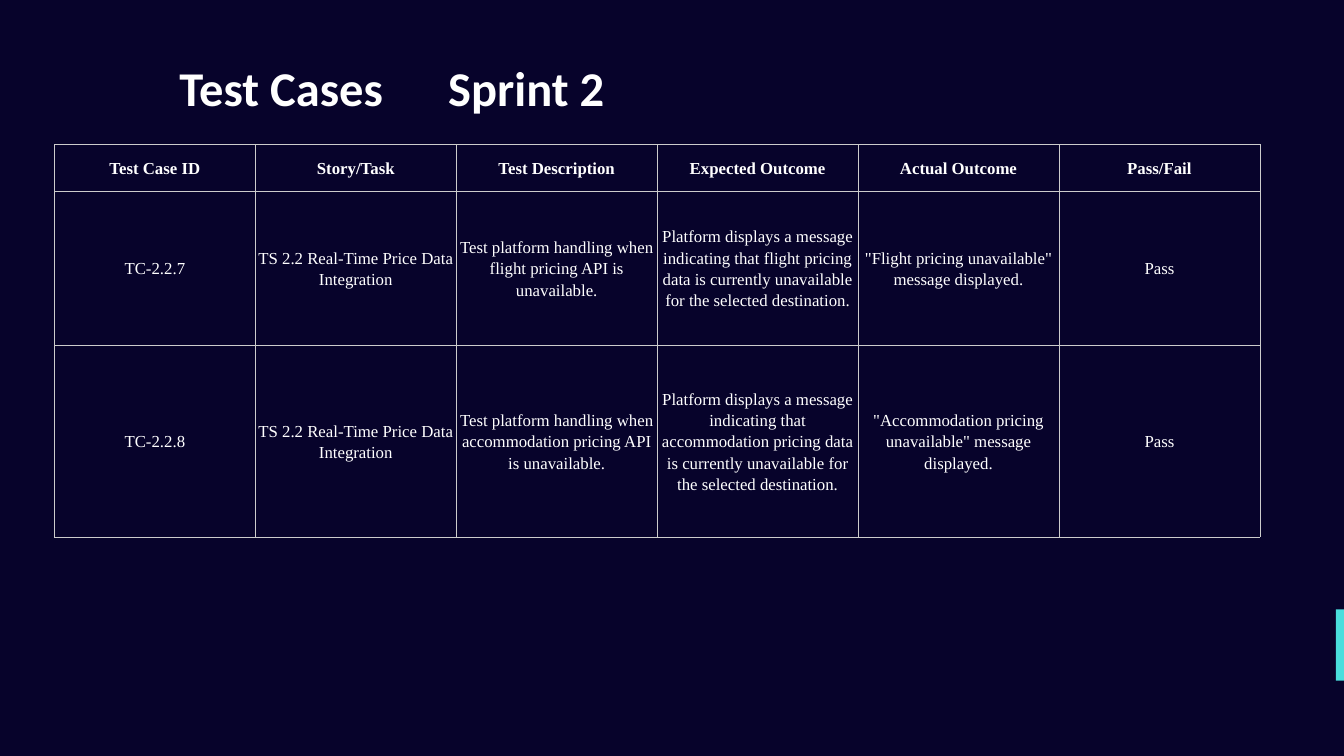
from lxml import etree
from pptx import Presentation
from pptx import util as u
from pptx.dml.color import RGBColor
from pptx.enum import shapes, text
from pptx.oxml import ns

COLORS = {"background": "07032B", "accent": "4ADEDD", "text": "FFFFFF", "border": "CCCCCC"}
STORY = "TS 2.2 Real-Time Price Data Integration"
HEADERS = ["Test Case ID", "Story/Task", "Test Description",
           "Expected Outcome", "Actual Outcome", "Pass/Fail"]
SUBJECTS = [("TC-2.2.7", "flight"), ("TC-2.2.8", "accommodation")]


class SlideBuilder:
    """Hold the style and the current slide, and add styled elements to it."""

    title_font = "Calibri"
    table_font = "Times New Roman"

    def __init__(self, presentation):
        self.slide = presentation.slides.add_slide(presentation.slide_layouts[5])
        self.fill(self.slide.background.fill, "background")

    def fill(self, fill, color):
        fill.solid()
        fill.fore_color.rgb = RGBColor.from_string(COLORS[color])

    def format_runs(self, paragraph, name, size, bold):
        for run in paragraph.runs:
            run.font.name = name
            run.font.size = u.Pt(size)
            run.font.bold = bold
            run.font.color.rgb = RGBColor.from_string(COLORS["text"])

    def title(self, words, left, top, width, height, tab):
        shape = self.slide.shapes.title
        shape.left, shape.top = u.Inches(left), u.Inches(top)
        shape.width, shape.height = u.Inches(width), u.Inches(height)
        frame = shape.text_frame
        frame.text = words
        frame.word_wrap = True
        frame.auto_size = text.MSO_AUTO_SIZE.NONE
        frame.vertical_anchor = text.MSO_ANCHOR.TOP
        frame.margin_left = frame.margin_right = u.Inches(0.1)
        frame.margin_top = frame.margin_bottom = u.Inches(0.1)
        paragraph = frame.paragraphs[0]
        paragraph.alignment = text.PP_ALIGN.LEFT
        properties = paragraph._p.get_or_add_pPr()
        tabs = etree.SubElement(properties, ns.qn("a:tabLst"))
        etree.SubElement(tabs, ns.qn("a:tab"), pos=str(u.Inches(tab)), algn="l")
        self.format_runs(paragraph, self.title_font, 52, True)

    def bar(self, left, top, width, height):
        shape = self.slide.shapes.add_shape(
            shapes.MSO_SHAPE.RECTANGLE,
            u.Inches(left), u.Inches(top), u.Inches(width), u.Inches(height))
        shape.shadow.inherit = False
        self.fill(shape.fill, "accent")
        shape.line.fill.background()

    def borders(self, cell):
        properties = cell._tc.get_or_add_tcPr()
        for position, side in enumerate(("a:lnL", "a:lnR", "a:lnT", "a:lnB")):
            line = etree.Element(ns.qn(side), w=str(u.Pt(0.42)))
            solid = etree.SubElement(line, ns.qn("a:solidFill"))
            etree.SubElement(solid, ns.qn("a:srgbClr"), val=COLORS["border"])
            properties.insert(position, line)

    def cell(self, cell, words, bold):
        cell.fill.background()
        self.borders(cell)
        cell.vertical_anchor = text.MSO_ANCHOR.MIDDLE
        cell.margin_left = cell.margin_right = u.Inches(0.03)
        cell.margin_top = cell.margin_bottom = u.Inches(0.02)
        cell.text_frame.text = words
        paragraph = cell.text_frame.paragraphs[0]
        paragraph.alignment = text.PP_ALIGN.CENTER
        paragraph.line_spacing = 1.15
        self.format_runs(paragraph, self.table_font, 18, bold)

    def table(self, rows, left, top, column_width, row_heights):
        columns = len(rows[0])
        table = self.slide.shapes.add_table(
            len(rows), columns, u.Inches(left), u.Inches(top),
            u.Inches(column_width * columns), u.Inches(sum(row_heights))).table
        table.horz_banding = False
        for column in table.columns:
            column.width = u.Inches(column_width)
        for row_index, (row, height) in enumerate(zip(rows, row_heights)):
            table.rows[row_index].height = u.Inches(height)
            for column_index, words in enumerate(row):
                self.cell(table.cell(row_index, column_index), words, row_index == 0)


def test_case(case_id, subject):
    return [
        case_id,
        STORY,
        f"Test platform handling when {subject} pricing API is unavailable.",
        f"Platform displays a message indicating that {subject} pricing data "
        "is currently unavailable for the selected destination.",
        f'"{subject.capitalize()} pricing unavailable" message displayed.',
        "Pass",
    ]


def main():
    presentation = Presentation()
    presentation.slide_width = u.Inches(20)
    presentation.slide_height = u.Inches(11.25)
    builder = SlideBuilder(presentation)
    builder.bar(19.88, 9.07, 0.12, 1.06)
    builder.title("Test Cases \tSprint 2", 2.57, 0.77, 10.38, 1.37, tab=4)
    rows = [HEADERS] + [test_case(*subject) for subject in SUBJECTS]
    builder.table(rows, 0.81, 2.15, 2.99, [0.69, 2.29, 2.86])
    presentation.save("out.pptx")


if __name__ == "__main__":
    main()
